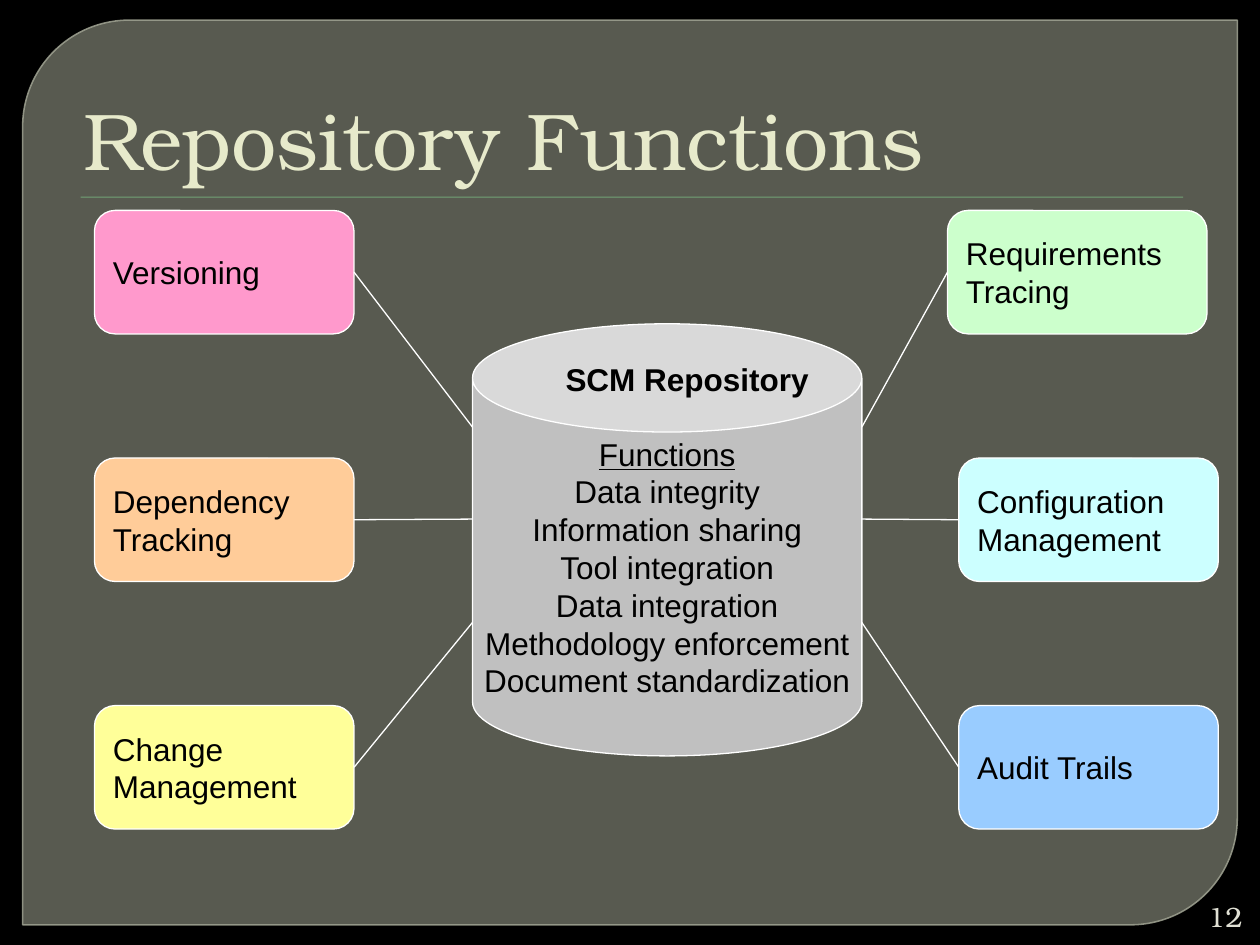
from lxml import etree
from pptx import Presentation
from pptx.dml.color import RGBColor
from pptx.enum.shapes import MSO_CONNECTOR, MSO_SHAPE
from pptx.enum.text import MSO_ANCHOR as ANCHOR, PP_ALIGN as ALIGN
from pptx.oxml.ns import qn
from pptx.util import Inches, Pt

TITLE = "Repository Functions"
PAGE = "12"
STORE = "SCM Repository"
STORE_LINES = ["Functions", "Data integrity", "Information sharing", "Tool integration",
               "Data integration", "Methodology enforcement", "Document standardization"]
LEFT_BOXES = [
    (["Versioning"], "FF99CC", 0.75),
    (["Dependency", "Tracking"], "FFCC99", 0.75),
    (["Change", "Management"], "FFFF99", 0.75),
]
RIGHT_BOXES = [
    (["Requirements", "Tracing"], "CCFFCC", 7.52),
    (["Configuration", "Management"], "CCFFFF", 7.61),
    (["Audit Trails"], "99CCFF", 7.61),
]

THEME = {
    "bg": "000000", "panel": "888B7B", "panel_line": "9DA090", "rule": "72A376",
    "title": "E7EACB", "page": "E0E0D4", "ink": "000000", "line": "FFFFFF",
    "store": "C0C0C0", "serif": "TeX Gyre Bonum", "sans": "Arial",
    "title_size": 46, "page_size": 16, "body_size": 18, "line_width": 0.75,
}

BOX_W, BOX_H, BOX_TOP, ROW_STEP = 2.06, 0.98, 1.67, 1.965
CAN_X, CAN_Y, CAN_W, CAN_H = 3.75, 2.57, 3.09, 3.43
PORTS = [3.39, 4.12, 4.94]

prs = Presentation()
prs.slide_width, prs.slide_height = Inches(10), Inches(7.5)
slide = prs.slides.add_slide(prs.slide_layouts[6])
slide.background.fill.solid()
slide.background.fill.fore_color.rgb = RGBColor.from_string(THEME["bg"])


def set_alpha(fill, percent):
    color = fill._xPr.find(qn("a:solidFill"))[0]
    etree.SubElement(color, qn("a:alpha"), val=str(percent * 1000))


def add_block(kind, at, fill, line=None, width=THEME["line_width"], adj=()):
    s = slide.shapes.add_shape(kind, *map(Inches, at))
    s.shadow.inherit = False
    s.fill.solid()
    s.fill.fore_color.rgb = RGBColor.from_string(fill)
    if line:
        s.line.color.rgb = RGBColor.from_string(line)
        s.line.width = Pt(width)
    else:
        s.line.fill.background()
    for i, value in enumerate(adj):
        s.adjustments[i] = value
    return s


def write(s, lines, size=THEME["body_size"], font=THEME["sans"], color=THEME["ink"],
          align=ALIGN.LEFT, anchor=ANCHOR.MIDDLE, bold=False, wrap=True):
    tf = s.text_frame
    tf.word_wrap = wrap
    tf.vertical_anchor = anchor
    for i, line in enumerate(lines):
        p = tf.add_paragraph() if i else tf.paragraphs[0]
        p.alignment = align
        r = p.add_run()
        r.text = line
        r.font.size, r.font.name, r.font.bold = Pt(size), font, bold
        r.font.color.rgb = RGBColor.from_string(color)
    return tf


def add_text(at, lines, **style):
    return write(slide.shapes.add_textbox(*map(Inches, at)), lines, **style)


def add_link(start, end):
    c = slide.shapes.add_connector(MSO_CONNECTOR.STRAIGHT, *map(Inches, start + end))
    c.line.color.rgb = RGBColor.from_string(THEME["line"])
    c.line.width = Pt(THEME["line_width"])
    etree.SubElement(c._element.spPr, qn("a:effectLst"))


panel = add_block(MSO_SHAPE.ROUND_2_DIAG_RECTANGLE, (0.18, 0.16, 9.64, 7.18),
                  THEME["panel"], THEME["panel_line"], 0.87, (0.118, 0))
set_alpha(panel.fill, 65)
set_alpha(panel.line.fill, 88)

rule = add_block(MSO_SHAPE.RECTANGLE, (0.64, 1.56, 8.75, 0.01), THEME["rule"])
effects = rule._element.spPr.find(qn("a:effectLst"))
shadow = etree.SubElement(effects, qn("a:outerShdw"), blurRad=str(Pt(1)),
                          dist=str(Pt(1)), dir="5400000")
shade = etree.SubElement(shadow, qn("a:srgbClr"), val=THEME["bg"])
etree.SubElement(shade, qn("a:alpha"), val="75000")

title = add_text((0.5, 0.28, 9, 1.25), [TITLE], size=THEME["title_size"],
                 font=THEME["serif"], color=THEME["title"], anchor=ANCHOR.BOTTOM)
title.margin_left = Inches(0.16)
add_text((9.45, 7.12, 0.51, 0.3), [PAGE], size=THEME["page_size"],
         font=THEME["serif"], color=THEME["page"], align=ALIGN.RIGHT)

can = add_block(MSO_SHAPE.CAN, (CAN_X, CAN_Y, CAN_W, CAN_H), THEME["store"],
                THEME["line"], adj=(0.278,))
can_text = write(can, STORE_LINES, align=ALIGN.CENTER)
can_text.margin_left = can_text.margin_right = 0
can_text.paragraphs[0].runs[0].font.underline = True
add_text((4.39, 2.81, 2.26, 0.42), [STORE], bold=True, anchor=ANCHOR.TOP, wrap=False)

for boxes, box_edge, can_edge in ((LEFT_BOXES, BOX_W, CAN_X),
                                  (RIGHT_BOXES, 0, CAN_X + CAN_W)):
    for row, (lines, fill, x) in enumerate(boxes):
        y = BOX_TOP + row * ROW_STEP
        box = add_block(MSO_SHAPE.ROUNDED_RECTANGLE, (x, y, BOX_W, BOX_H), fill,
                        THEME["line"], adj=(0.167,))
        write(box, lines)
        add_link((x + box_edge, y + BOX_H / 2), (can_edge, PORTS[row]))

prs.save("out.pptx")
